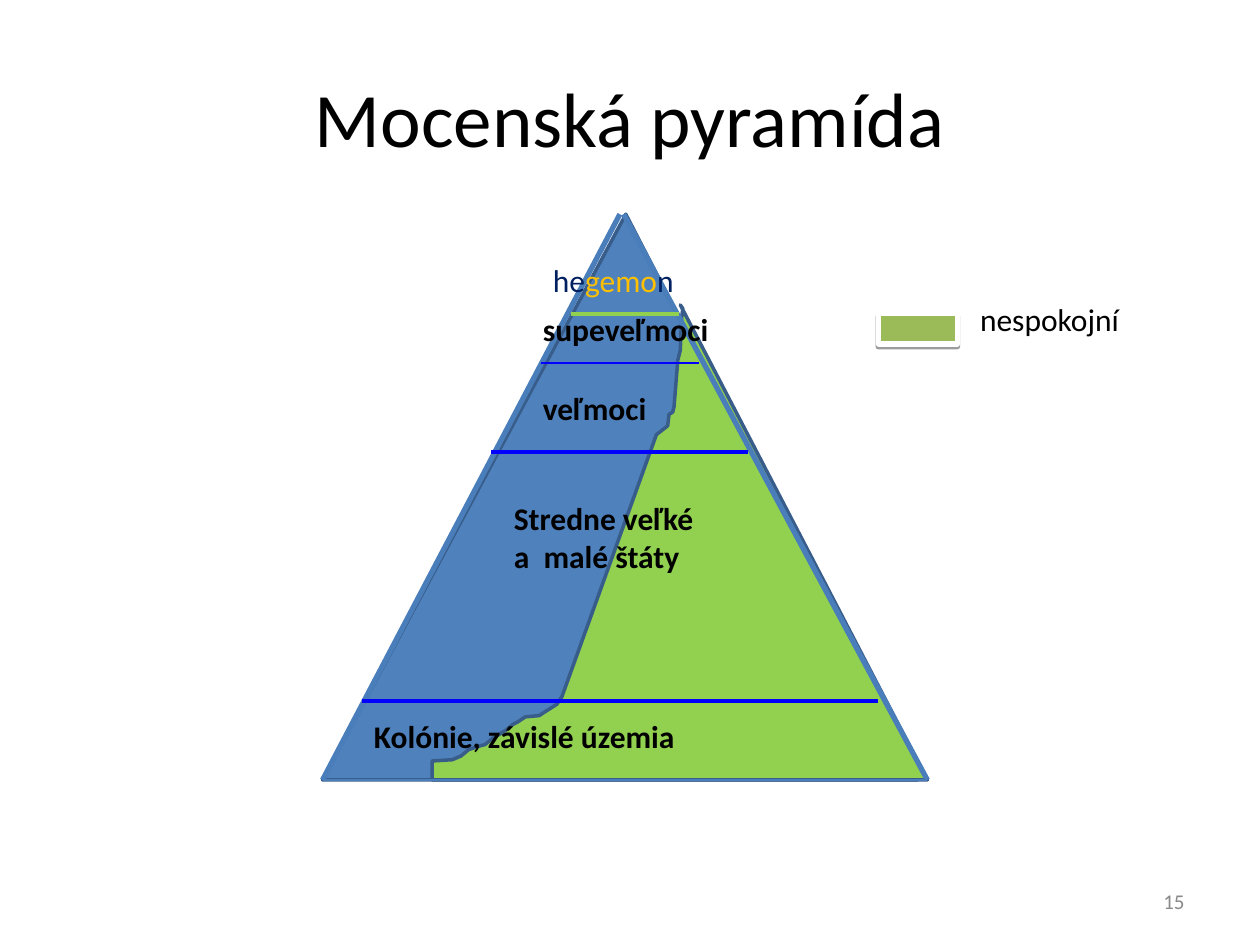
from pptx import Presentation
from pptx.dml.color import RGBColor
from pptx.enum.shapes import MSO_CONNECTOR as Connector, MSO_SHAPE as Preset
from pptx.enum.text import MSO_ANCHOR as Anchor, PP_ALIGN as Align
from pptx.oxml.ns import qn
from pptx.util import Inches, Pt
from lxml.etree import SubElement

BLACK = RGBColor(0x00, 0x00, 0x00)
WHITE = RGBColor(0xFF, 0xFF, 0xFF)
GREY = RGBColor(0x89, 0x89, 0x89)
NAVY = RGBColor(0x00, 0x20, 0x60)
GOLD = RGBColor(0xFF, 0xC0, 0x00)
BLUE = RGBColor(0x00, 0x00, 0xFF)
STEEL = RGBColor(0x4F, 0x81, 0xBD)
EDGE = RGBColor(0x4A, 0x7E, 0xBB)
OUTLINE = RGBColor(0x38, 0x5D, 0x8A)
GREEN = RGBColor(0x92, 0xD0, 0x50)
OLIVE = RGBColor(0x9B, 0xBB, 0x59)

COLUMNS, ROWS = 100, 75
LEFT, RIGHT, TOP, BASE = 25.6, 73.6, 17, 61.9

DISCONTENT = [
    (34.3, 61.9), (34.3, 60.4), (35.9, 60.3), (36.6, 60), (37.2, 59.5),
    (38.1, 59.2), (38.5, 59.1), (39.1, 58.6), (40.1, 58), (40.7, 57.5),
    (41.1, 57.3), (41.7, 56.9), (42.8, 56.8), (43.1, 56.6), (44.2, 55.9),
    (44.6, 55.3), (52.1, 34.5), (53, 33.8), (53.1, 32.9), (53.4, 32.7),
    (53.5, 32.3), (53.8, 28.6), (54, 27.8), (54.1, 25.2), (54.2, 24.5),
    (54, 24.2), (73.6, 61.9),
]
SIDES = [
    ((49.2, TOP), (LEFT, BASE), 3),
    ((49.5, TOP), (RIGHT, BASE), 3),
    ((LEFT, BASE), (RIGHT, BASE), 0.75),
]
DIVIDERS = [
    (45.3, 53.9, 24.9, GREEN, 2.25),
    (42.9, 55.5, 28.8, BLUE, 0.75),
    (39, 59.4, 35.9, BLUE, 2.25),
    (28.7, 69.7, 55.6, BLUE, 2.25),
]
LEVELS = [
    (["supeveľmoci"], (42.1, 24.1, 19.7, 4)),
    (["veľmoci"], (42.1, 30.4, 15, 4)),
    (["Stredne veľké", "a  malé štáty"], (39.8, 39.1, 18.1, 7)),
    (["Kolónie, závislé územia"], (28.7, 56.4, 38.6, 4)),
]


def write(paragraph, text, size=18, color=BLACK, bold=False, font="Calibri"):
    """Add a formatted run to a paragraph."""
    run = paragraph.add_run()
    run.text = text
    run.font.name, run.font.size, run.font.bold = font, Pt(size), bold
    run.font.color.rgb = color


class SlideBuilder:
    """Draw styled elements on one slide, placed by grid columns and rows."""

    def __init__(self, presentation):
        self.slide = presentation.slides.add_slide(presentation.slide_layouts[6])
        self.column = presentation.slide_width / COLUMNS
        self.row = presentation.slide_height / ROWS

    def point(self, x, y):
        """Convert a grid position to slide units."""
        return round(x * self.column), round(y * self.row)

    def box(self, x, y, width, height):
        """Convert a grid box to slide units."""
        return self.point(x, y) + self.point(width, height)

    def paint(self, shape, fill, line, width):
        """Apply a flat fill and outline."""
        shape.shadow.inherit = False
        shape.fill.solid()
        shape.fill.fore_color.rgb = fill
        shape.line.color.rgb = line
        shape.line.width = Pt(width)
        return shape

    def preset(self, kind, box, fill, line, width):
        """Add a preset shape."""
        shape = self.slide.shapes.add_shape(kind, *self.box(*box))
        return self.paint(shape, fill, line, width)

    def outline(self, points, fill, line, width):
        """Add a closed freeform through the points."""
        start, *rest = [self.point(*point) for point in points]
        builder = self.slide.shapes.build_freeform(*start)
        builder.add_line_segments(rest, close=True)
        return self.paint(builder.convert_to_shape(), fill, line, width)

    def line(self, start, end, color, width):
        """Add a straight line without a shadow."""
        line = self.slide.shapes.add_connector(
            Connector.STRAIGHT, *self.point(*start), *self.point(*end))
        line.line.color.rgb = color
        line.line.width = Pt(width)
        SubElement(line._element.spPr, qn("a:effectLst"))

    def text(self, paragraphs, box, align=Align.LEFT, anchor=Anchor.TOP, **style):
        """Add a text box; a paragraph is a string or a list of text and colour."""
        frame = self.slide.shapes.add_textbox(*self.box(*box)).text_frame
        frame.word_wrap = True
        frame.vertical_anchor = anchor
        for index, content in enumerate(paragraphs):
            paragraph = frame.add_paragraph() if index else frame.paragraphs[0]
            paragraph.alignment = align
            if isinstance(content, str):
                write(paragraph, content, **style)
            else:
                for text, color in content:
                    write(paragraph, text, color=color, **style)

    def drop_shadow(self, shape, distance, opacity):
        """Give a shape a sharp shadow straight below it."""
        effects = shape._element.spPr.find(qn("a:effectLst"))
        shadow = SubElement(effects, qn("a:outerShdw"), blurRad="0",
                            dist=str(Pt(distance)), dir="5400000", rotWithShape="0")
        color = SubElement(shadow, qn("a:srgbClr"), val=str(BLACK))
        SubElement(color, qn("a:alpha"), val=str(opacity * 1000))


def main():
    """Build the power pyramid slide."""
    presentation = Presentation()
    presentation.slide_width, presentation.slide_height = Inches(10), Inches(7.5)
    builder = SlideBuilder(presentation)

    builder.text(["15"], (71.7, 69.5, 23.3, 4), Align.RIGHT, Anchor.MIDDLE,
                 size=12, color=GREY)
    pyramid = builder.preset(Preset.ISOSCELES_TRIANGLE,
                             (LEFT, TOP, 47.2, BASE - TOP), STEEL, OUTLINE, 2)
    pyramid.adjustments[0] = 0.51
    builder.outline(DISCONTENT, GREEN, OUTLINE, 2)
    builder.text(["Mocenská pyramída"], (5, 3, 90, 12.5), Align.CENTER,
                 Anchor.MIDDLE, size=44)

    for start, end, width in SIDES:
        builder.line(start, end, EDGE, width)
    for left, right, y, color, width in DIVIDERS:
        builder.line((left, y), (right, y), color, width)

    builder.text([[("he", NAVY), ("gemo", GOLD), ("n", NAVY)]],
                 (42.9, 20.2, 13.4, 4))
    for paragraphs, box in LEVELS:
        builder.text(paragraphs, box, bold=True)

    swatch = builder.preset(Preset.RECTANGLE, (69.7, 24.9, 6.3, 2.4), OLIVE, WHITE, 3)
    builder.drop_shadow(swatch, distance=1.6, opacity=38)
    builder.text(["nespokojní"], (76.8, 23.3, 18.9, 4))

    presentation.save("out.pptx")


if __name__ == "__main__":
    main()
